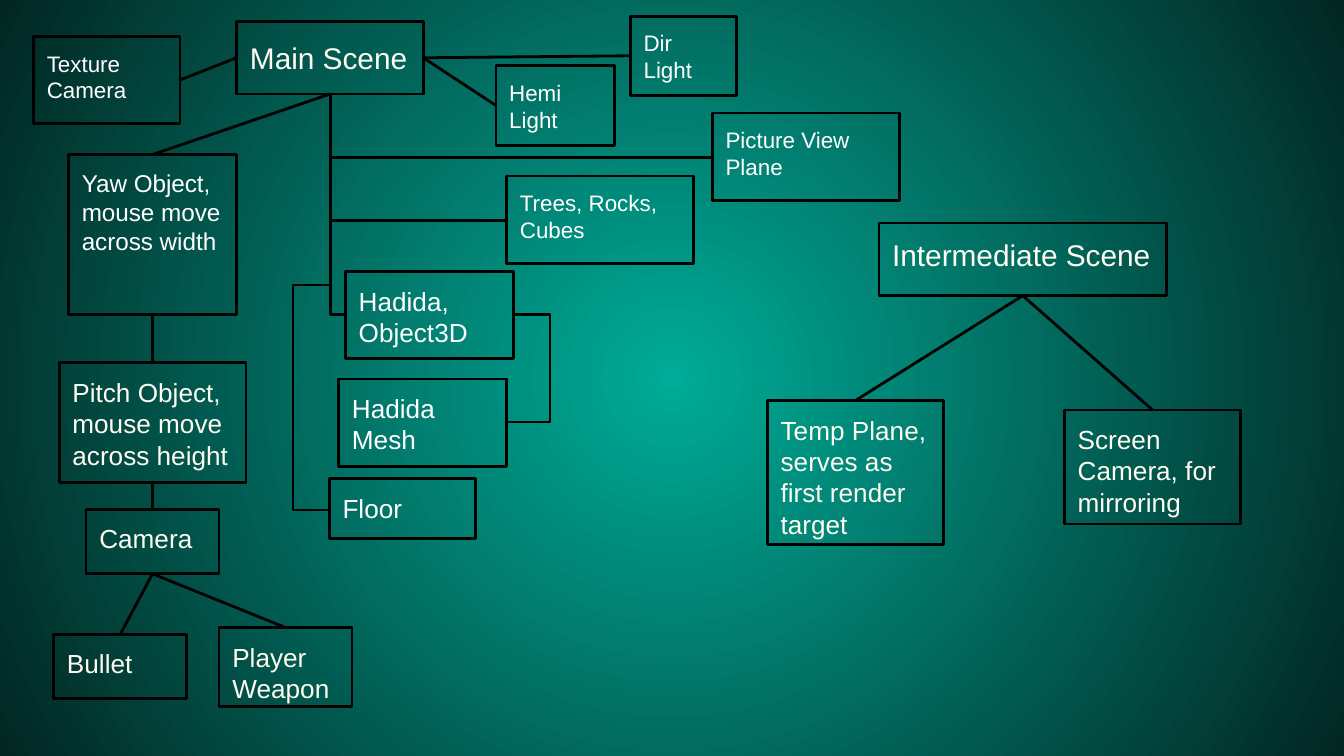
import dataclasses
import typing

import lxml.etree
import pptx
import pptx.dml.color
import pptx.enum.shapes
import pptx.enum.text
import pptx.oxml
import pptx.oxml.ns
import pptx.util

BLACK = "000000"
WHITE = "FFFFFF"
CREAM = "FFFBF0"
TOP, LEFT, BOTTOM, RIGHT = range(4)
Inches = pptx.util.Inches


@dataclasses.dataclass
class Box:
    text: str
    left: float
    top: float
    width: float
    height: float
    size: int = 14
    color: str = WHITE


@dataclasses.dataclass
class Link:
    begin: str
    begin_side: int
    end: str
    end_side: int


@dataclasses.dataclass
class Elbow(Link):
    left: float
    top: float
    width: float
    height: float
    preset: str
    rotation: int = 0
    flipped: bool = False
    adjustments: tuple[float, ...] = ()


TITLE = Box("Main Scene", 1.76, 0.16, 1.39, 0.54, 16, CREAM)

BOXES = {
    "yaw": Box("Yaw Object, mouse move across width", 0.51, 1.15, 1.25, 1.19, 13),
    "pitch": Box("Pitch Object, mouse move across height", 0.44, 2.7, 1.39, 0.89, color=CREAM),
    "camera": Box("Camera", 0.64, 3.79, 0.99, 0.48, color=CREAM),
    "bullet": Box("Bullet", 0.4, 4.72, 0.99, 0.48, color=CREAM),
    "weapon": Box("Player Weapon", 1.63, 4.67, 0.99, 0.59, color=CREAM),
    "hadida": Box("Hadida, Object3D", 2.57, 2.02, 1.25, 0.65),
    "mesh": Box("Hadida Mesh", 2.52, 2.82, 1.25, 0.65),
    "floor": Box("Floor", 2.45, 3.56, 1.09, 0.45),
    "trees": Box("Trees, Rocks, Cubes", 3.77, 1.31, 1.39, 0.65, 12),
    "hemi": Box("Hemi Light", 3.69, 0.49, 0.88, 0.59, 12),
    "dir": Box("Dir Light", 4.69, 0.12, 0.79, 0.59, 12),
    "picture": Box("Picture View Plane", 5.3, 0.84, 1.39, 0.65, 12),
    "texture": Box("Texture Camera", 0.25, 0.27, 1.09, 0.65, 12),
    "intermediate": Box("Intermediate Scene", 6.54, 1.66, 2.14, 0.54, 16, CREAM),
    "plane": Box("Temp Plane, serves as first render target", 5.71, 2.98, 1.31, 1.07, color=CREAM),
    "screen": Box("Screen Camera, for mirroring", 7.92, 3.05, 1.31, 0.85, color=CREAM),
}

LINKS = [
    Link("main", BOTTOM, "yaw", TOP),
    Link("yaw", BOTTOM, "pitch", TOP),
    Link("pitch", BOTTOM, "camera", TOP),
    Link("camera", BOTTOM, "weapon", TOP),
    Link("camera", BOTTOM, "bullet", TOP),
    Link("dir", LEFT, "main", RIGHT),
    Link("hemi", LEFT, "main", RIGHT),
    Link("main", LEFT, "texture", RIGHT),
    Link("intermediate", BOTTOM, "screen", TOP),
    Link("intermediate", BOTTOM, "plane", TOP),
]

ELBOWS = [
    Elbow("main", BOTTOM, "floor", LEFT, 0.9, 2.24, 3.1, 0.01,
          "bentConnector4", 90, adjustments=(0.46, 28)),
    Elbow("trees", LEFT, "main", BOTTOM, 2.46, 0.7, 1.31, 0.94, "bentConnector2", 180),
    Elbow("picture", LEFT, "main", BOTTOM, 2.46, 0.7, 2.85, 0.47, "bentConnector2", 180),
    Elbow("hadida", RIGHT, "mesh", RIGHT, 3.77, 2.34, 0.06, 0.8,
          "bentConnector3", flipped=True, adjustments=(-4.4,)),
    Elbow("main", BOTTOM, "hadida", LEFT, 1.69, 1.46, 1.65, 0.11,
          "bentConnector2", 270, True),
]


def rgb(color: str) -> pptx.dml.color.RGBColor:
    return pptx.dml.color.RGBColor.from_string(color)


def write_text(shape: typing.Any, text: str, *, size: int, color: str,
               anchor: typing.Any = pptx.enum.text.MSO_ANCHOR.TOP) -> None:
    frame = shape.text_frame
    frame.word_wrap = True
    frame.auto_size = pptx.enum.text.MSO_AUTO_SIZE.NONE
    frame.vertical_anchor = anchor
    frame.margin_left = frame.margin_right = Inches(0.1)
    frame.margin_top = frame.margin_bottom = Inches(0.1)
    paragraph = frame.paragraphs[0]
    paragraph.alignment = pptx.enum.text.PP_ALIGN.LEFT
    paragraph.line_spacing = 1.0
    run = paragraph.add_run()
    run.text = text
    run.font.name = "Arial"
    run.font.size = pptx.util.Pt(size)
    run.font.color.rgb = rgb(color)


def outline(item: typing.Any) -> None:
    item.line.color.rgb = rgb(BLACK)
    item.line.width = pptx.util.Pt(1.5)


def place(item: typing.Any, area: typing.Any) -> None:
    item.left, item.top = Inches(area.left), Inches(area.top)
    item.width, item.height = Inches(area.width), Inches(area.height)


def draw_title(slide: typing.Any, box: Box) -> typing.Any:
    shape = slide.shapes.title
    place(shape, box)
    outline(shape)
    write_text(shape, box.text, size=box.size, color=box.color,
               anchor=pptx.enum.text.MSO_ANCHOR.MIDDLE)
    return shape


def draw_box(slide: typing.Any, box: Box) -> typing.Any:
    shape = slide.shapes.add_shape(
        pptx.enum.shapes.MSO_SHAPE.RECTANGLE, Inches(box.left), Inches(box.top),
        Inches(box.width), Inches(box.height))
    shape.shadow.inherit = False
    shape.fill.background()
    outline(shape)
    write_text(shape, box.text, size=box.size, color=box.color)
    return shape


def draw_link(slide: typing.Any, link: Link, shapes: dict[str, typing.Any],
              kind: typing.Any = pptx.enum.shapes.MSO_CONNECTOR.STRAIGHT) -> typing.Any:
    connector = slide.shapes.add_connector(kind, 0, 0, 0, 0)
    connector.begin_connect(shapes[link.begin], link.begin_side)
    connector.end_connect(shapes[link.end], link.end_side)
    outline(connector)
    lxml.etree.SubElement(connector.element.spPr, pptx.oxml.ns.qn("a:effectLst"))
    return connector


def draw_elbow(slide: typing.Any, elbow: Elbow, shapes: dict[str, typing.Any]) -> None:
    connector = draw_link(slide, elbow, shapes, pptx.enum.shapes.MSO_CONNECTOR.ELBOW)
    place(connector, elbow)
    properties = connector.element.spPr
    transform = properties.find(pptx.oxml.ns.qn("a:xfrm"))
    transform.set("rot", str(elbow.rotation * 60000))
    transform.set("flipH", str(int(elbow.flipped)))
    transform.set("flipV", "0")
    geometry = properties.find(pptx.oxml.ns.qn("a:prstGeom"))
    geometry.set("prst", elbow.preset)
    guides = geometry.find(pptx.oxml.ns.qn("a:avLst"))
    for number, value in enumerate(elbow.adjustments, 1):
        guide = lxml.etree.SubElement(guides, pptx.oxml.ns.qn("a:gd"))
        guide.set("name", f"adj{number}")
        guide.set("fmla", f"val {round(value * 100000)}")


def fill_background(slide: typing.Any, center: str, edge: str) -> None:
    fill = slide.background.fill
    fill.gradient()
    for stop, color in zip(fill.gradient_stops, (center, edge)):
        stop.color.rgb = rgb(color)
    gradient = slide.element.find(".//" + pptx.oxml.ns.qn("a:gradFill"))
    linear = gradient.find(pptx.oxml.ns.qn("a:lin"))
    gradient.replace(linear, pptx.oxml.parse_xml(
        f'<a:path {pptx.oxml.ns.nsdecls("a")} path="circle">'
        '<a:fillToRect l="50000" t="50000" r="50000" b="50000"/></a:path>'))


def main() -> None:
    presentation = pptx.Presentation()
    presentation.slide_width = Inches(10)
    presentation.slide_height = Inches(10) * 9 // 16
    slide = presentation.slides.add_slide(presentation.slide_layouts[5])
    fill_background(slide, "00AB97", "022622")
    shapes = {"main": draw_title(slide, TITLE)}
    for name, box in BOXES.items():
        shapes[name] = draw_box(slide, box)
    for link in LINKS:
        draw_link(slide, link, shapes)
    for elbow in ELBOWS:
        draw_elbow(slide, elbow, shapes)
    presentation.save("out.pptx")


if __name__ == "__main__":
    main()
